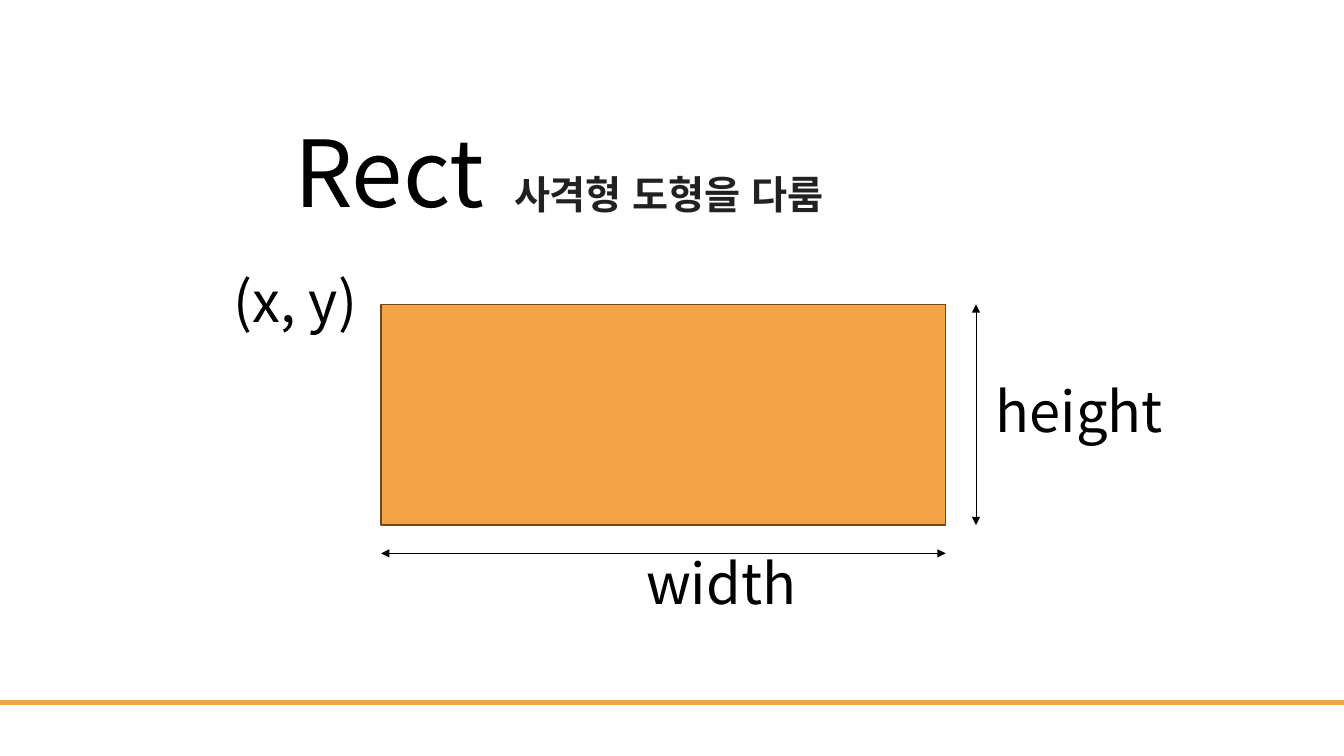
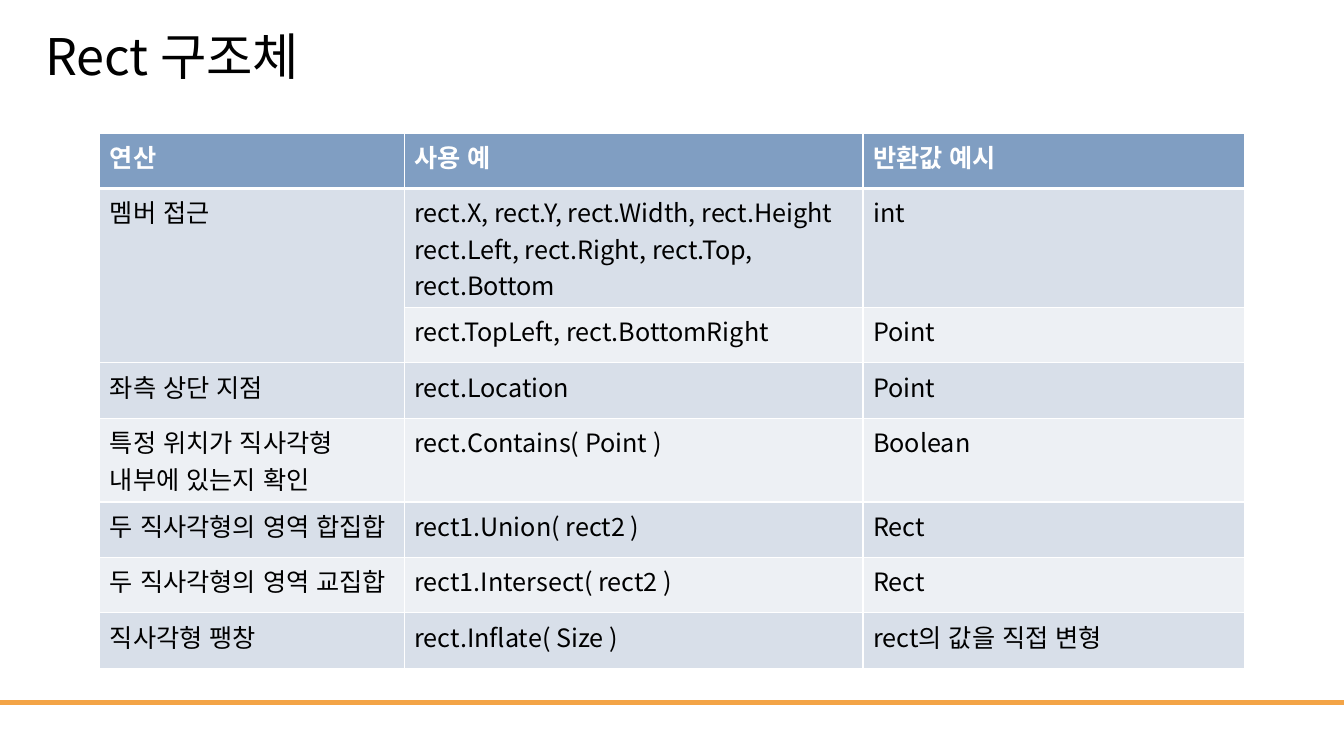
import pptx
import pptx.dml.color
import pptx.enum.lang
import pptx.enum.shapes
import pptx.enum.text
import pptx.oxml
import pptx.oxml.ns
import pptx.util

PX = 9144
SLIDE = (1333, 750)
FOOTER_Y = 697
COLORS = {
    "black": "000000", "white": "FFFFFF", "accent": "F3A447", "outline": "6B481F",
    "subtitle": "202122", "header": "809EC2", "band_dark": "D8DFE9", "band_light": "EDF0F4",
}
NOTO = "Noto Sans CJK KR"
STYLES = {
    "cover": {"size": 66, "name": NOTO, "color": "black", "bold": False},
    "title": {"size": 36, "name": NOTO, "color": "black", "bold": False},
    "label": {"size": 40, "name": NOTO, "color": "black", "bold": False},
    "subtitle": {"size": 28, "name": "Arial", "color": "subtitle", "bold": True},
    "header": {"size": 18, "name": NOTO, "color": "white", "bold": True},
    "body": {"size": 18, "name": NOTO, "color": "black", "bold": False},
}
MIDDLE = {"vertical_anchor": pptx.enum.text.MSO_ANCHOR.MIDDLE}
TOP = {"vertical_anchor": pptx.enum.text.MSO_ANCHOR.TOP}

DIAGRAM_TEXTS = [
    ("Rect", "cover", (282, 104, 355, 144), MIDDLE, 0.9),
    ("사격형 도형을 다룸", "subtitle", (500, 164, 668, 57), TOP, 1.0),
    ("width", "label", (631, 535, 245, 93), MIDDLE, 0.9),
    ("height", "label", (978, 365, 245, 93), MIDDLE, 0.9),
    ("(x, y)", "label", (222, 255, 245, 93), MIDDLE, 0.9),
]
RECT = (378, 302, 560, 219)
WIDTH_GAP, HEIGHT_GAP = 28, 30

TABLE_TITLE = ("Rect 구조체", "title", (35, 12, 959, 93), MIDDLE, 0.9)
TABLE_ORIGIN = (99, 132)
COLUMN_WIDTHS = [302, 455, 378]
ROW_HEIGHTS = [55, 118, 55, 55, 83, 55, 55, 55]
OPERATIONS = [
    ("연산", "사용 예", "반환값 예시"),
    ("멤버 접근",
     "rect.X, rect.Y, rect.Width, rect.Height\nrect.Left, rect.Right, rect.Top, rect.Bottom",
     "int"),
    ("", "rect.TopLeft, rect.BottomRight", "Point"),
    ("좌측 상단 지점", "rect.Location", "Point"),
    ("특정 위치가 직사각형 내부에 있는지 확인", "rect.Contains( Point )", "Boolean"),
    ("두 직사각형의 영역 합집합", "rect1.Union( rect2 )", "Rect"),
    ("두 직사각형의 영역 교집합", "rect1.Intersect( rect2 )", "Rect"),
    ("직사각형 팽창", "rect.Inflate( Size )", "rect의 값을 직접 변형"),
]
MERGED = ((1, 0), (2, 0))


def emu(*lengths):
    return [pptx.util.Emu(length * PX) for length in lengths]


def rgb(color):
    return pptx.dml.color.RGBColor.from_string(COLORS[color])


def add_xml(parent, tag, **attributes):
    element = pptx.oxml.ns.qn(tag)
    child = parent.makeelement(element, attributes)
    parent.append(child)
    return child


def write(frame, text, style, spacing=1.0):
    paragraph = frame.paragraphs[0]
    paragraph.text = text
    paragraph.line_spacing = spacing
    look = STYLES[style]
    values = {
        "size": pptx.util.Pt(look["size"]), "name": look["name"], "bold": look["bold"],
        "language_id": pptx.enum.lang.MSO_LANGUAGE_ID.KOREAN,
    }
    for run in paragraph.runs:
        for attribute, value in values.items():
            setattr(run.font, attribute, value)
        run.font.color.rgb = rgb(look["color"])
        add_xml(run.font._element, "a:ea", typeface=look["name"])


def add_text(slide, text, style, place, anchor, spacing):
    frame = slide.shapes.add_textbox(*emu(*place)).text_frame
    for attribute, value in {"word_wrap": True, **anchor}.items():
        setattr(frame, attribute, value)
    write(frame, text, style, spacing)


def add_line(slide, start, end, color, width, arrows=False):
    line = slide.shapes.add_connector(
        pptx.enum.shapes.MSO_CONNECTOR.STRAIGHT, *emu(*start, *end))
    line.line.color.rgb = rgb(color)
    line.line.width = pptx.util.Pt(width)
    if arrows:
        for tag in ("a:headEnd", "a:tailEnd"):
            add_xml(line.line._get_or_add_ln(), tag, type="triangle")
    add_xml(line._element.spPr, "a:effectLst")


def add_slide(deck):
    slide = deck.slides.add_slide(deck.slide_layouts[6])
    add_line(slide, (0, FOOTER_Y), (SLIDE[0], FOOTER_Y), "accent", 3)
    return slide


def add_borders(cell, row):
    properties = cell._tc.get_or_add_tcPr()
    widths = {"a:lnL": 1, "a:lnR": 1, "a:lnT": 3 if row == 1 else 1, "a:lnB": 3 if row == 0 else 1}
    for tag, width in widths.items():
        border = add_xml(properties, tag, w=str(pptx.util.Pt(width)))
        add_xml(add_xml(border, "a:solidFill"), "a:srgbClr", val=COLORS["white"])


def build_diagram(deck):
    slide = add_slide(deck)
    left, top, width, height = RECT
    right, bottom = left + width, top + height
    rect = slide.shapes.add_shape(pptx.enum.shapes.MSO_SHAPE.RECTANGLE, *emu(*RECT))
    rect.shadow.inherit = False
    rect.fill.solid()
    rect.fill.fore_color.rgb = rgb("accent")
    rect.line.color.rgb = rgb("outline")
    rect.line.width = pptx.util.Pt(1)
    width_y, height_x = bottom + WIDTH_GAP, right + HEIGHT_GAP
    add_line(slide, (left, width_y), (right, width_y), "black", 0.5, arrows=True)
    add_line(slide, (height_x, top), (height_x, bottom), "black", 0.5, arrows=True)
    for item in DIAGRAM_TEXTS:
        add_text(slide, *item)


def build_table(deck):
    slide = add_slide(deck)
    add_text(slide, *TABLE_TITLE)
    size = (sum(COLUMN_WIDTHS), sum(ROW_HEIGHTS))
    table = slide.shapes.add_table(
        len(OPERATIONS), len(COLUMN_WIDTHS), *emu(*TABLE_ORIGIN, *size)).table
    for column, width in zip(table.columns, emu(*COLUMN_WIDTHS)):
        column.width = width
    for row, height in zip(table.rows, emu(*ROW_HEIGHTS)):
        row.height = height
    for row, texts in enumerate(OPERATIONS):
        fill = "header" if row == 0 else ("band_light", "band_dark")[row % 2]
        for column, text in enumerate(texts):
            cell = table.cell(row, column)
            add_borders(cell, row)
            cell.fill.solid()
            cell.fill.fore_color.rgb = rgb(fill)
            write(cell.text_frame, text, "body" if row else "header")
    first, last = MERGED
    table.cell(*first).merge(table.cell(*last))


def main():
    deck = pptx.Presentation()
    deck.slide_width, deck.slide_height = emu(*SLIDE)
    build_diagram(deck)
    build_table(deck)
    deck.save("out.pptx")


if __name__ == "__main__":
    main()
